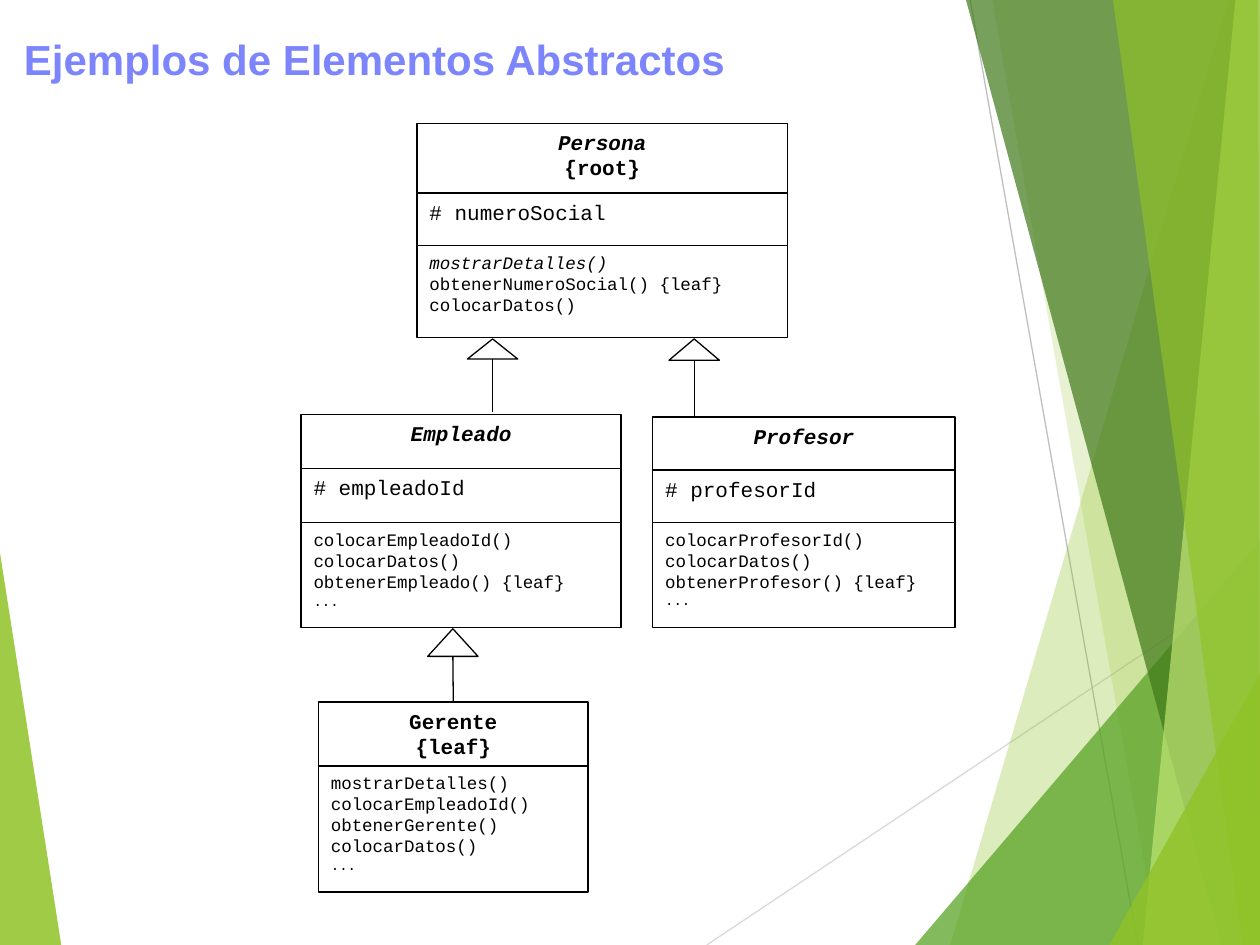
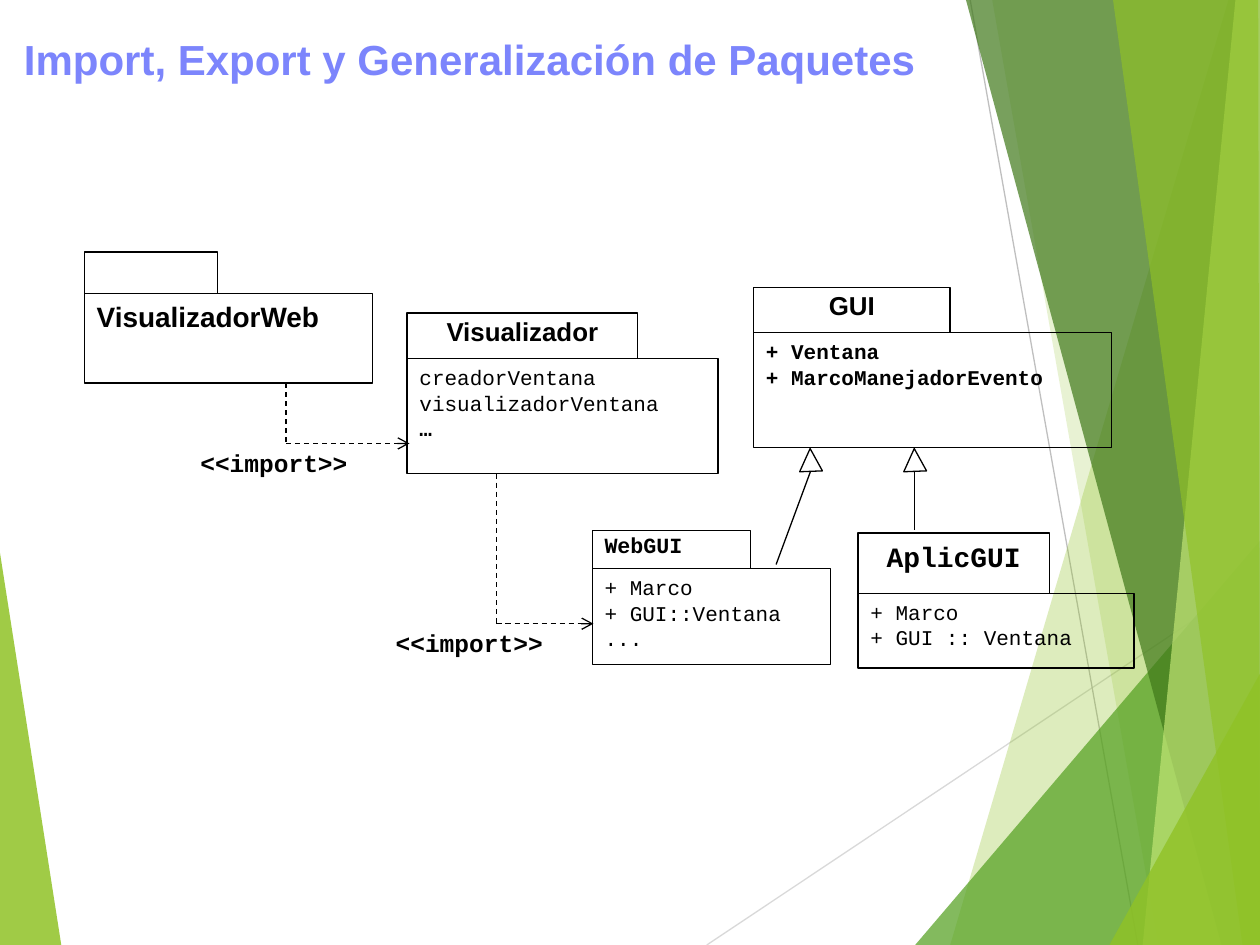
from lxml.etree import SubElement
from pptx import Presentation
from pptx.dml.color import RGBColor
from pptx.enum.dml import MSO_LINE
from pptx.enum.shapes import MSO_CONNECTOR, MSO_SHAPE
from pptx.enum.text import MSO_ANCHOR, MSO_AUTO_SIZE, PP_ALIGN
from pptx.oxml.ns import qn
from pptx.util import Pt

W, H = 720, 540
SANS, MONO = "Arial", "Courier New"
COLORS = {
    "title": "7C85FC", "ink": "000000", "white": "FFFFFF",
    "lime": "90C226", "green": "54A021", "forest": "3F7819", "pale": "C0E474",
    "ray_light": "D9D9D9", "ray_dark": "BFBFBF",
}
RAYS = [
    ("ray_light", (403.9, H, W, 329)),
    ("ray_dark", (554.4, 0, 650.2, H)),
]
FACETS = [
    ("lime", 85, [(0, 316), (35.3, H), (0, H)]),
    ("lime", 30, [(702, 0), (542.9, H), (W, H), (W, 0)]),
    ("lime", 20, [(567.4, 0), (662.4, H), (W, H), (W, 0)]),
    ("green", 72, [(522.7, H), (W, 308.9), (W, H)]),
    ("forest", 70, [(552.2, 0), (698.4, H), (W, H), (W, 0)]),
    ("pale", 70, [(706.3, 0), (653, H), (W, H), (W, 0)]),
    ("lime", 65, [(635.8, 0), (709.9, H), (W, H), (718.6, 0)]),
    ("lime", 80, [(634.3, H), (W, 385.2), (W, H)]),
]
SMALL_DOTS = ("...", {"size": 8})


def rgb(name):
    """Return the named colour."""
    return RGBColor.from_string(COLORS[name])


def add_line(s, x1, y1, x2, y2, color="ink", dashed=False, arrow=False):
    """Draw a thin straight connector without a shadow."""
    line = s.shapes.add_connector(MSO_CONNECTOR.STRAIGHT, Pt(x1), Pt(y1), Pt(x2), Pt(y2))
    line.line.color.rgb = rgb(color)
    line.line.width = Pt(0.75)
    if dashed:
        line.line.dash_style = MSO_LINE.DASH
    if arrow:
        SubElement(line.line._get_or_add_ln(), qn("a:tailEnd"), type="arrow")
    SubElement(line.element.spPr, qn("a:effectLst"))
    return line


def add_outline(s, kind, x, y, w, h, fill=None):
    """Draw a black outlined preset shape."""
    sp = s.shapes.add_shape(kind, Pt(x), Pt(y), Pt(w), Pt(h))
    sp.shadow.inherit = False
    if fill:
        sp.fill.solid()
        sp.fill.fore_color.rgb = rgb(fill)
    else:
        sp.fill.background()
    sp.line.color.rgb = rgb("ink")
    sp.line.width = Pt(0.75)
    return sp


def write(sp, lines, size=12, font=MONO, bold=False, italic=False,
          align=PP_ALIGN.LEFT, spacing=None):
    """Write lines, each a string or a (string, format changes) pair."""
    tf = sp.text_frame
    tf.word_wrap = True
    tf.vertical_anchor = MSO_ANCHOR.TOP
    for i, line in enumerate(lines):
        text, changes = (line, {}) if isinstance(line, str) else line
        look = {"size": size, "bold": bold, "italic": italic} | changes
        p = tf.add_paragraph() if i else tf.paragraphs[0]
        p.text = text
        p.alignment = align
        if spacing:
            p.line_spacing = spacing
        for r in p.runs:
            r.font.name = font
            r.font.size = Pt(look["size"])
            r.font.bold = look["bold"]
            r.font.italic = look["italic"]
            r.font.color.rgb = rgb("ink")


def add_panel(s, x, y, w, h, lines=(), **look):
    """Draw an outlined rectangle holding lines of text."""
    sp = add_outline(s, MSO_SHAPE.RECTANGLE, x, y, w, h)
    write(sp, lines, **look)
    return sp


def add_class(s, x, y, w, heights, name, attributes, methods):
    """Stack the compartments of a class and return the name one."""
    parts = [
        (name, {"bold": True, "align": PP_ALIGN.CENTER}),
        (attributes, {}),
        (methods, {"size": 10}),
    ]
    panels = []
    for h, (lines, look) in zip(heights, [part for part in parts if part[0]]):
        panels.append(add_panel(s, x, y, w, h, lines, **look))
        y += h
    return panels[0]


def add_package(s, x, y, tab, body, name, contents, name_look, **look):
    """Draw a package as a tab above a body, each given as (width, height)."""
    add_panel(s, x, y, *tab, name, bold=True, **name_look)
    add_panel(s, x, y + tab[1], *body, contents, **look)


def add_generalization(s, x, y, w, h, end, fill=None, turn=0):
    """Draw a hollow triangle with its tip at x, y and a line down to end."""
    tri = add_outline(s, MSO_SHAPE.ISOSCELES_TRIANGLE, x - w / 2, y, w, h, fill)
    tri.rotation = turn
    return add_line(s, x, y + h, *end)


def add_import(s, x, y, end, label_x):
    """Draw a dashed elbow from x, y to end with its label below."""
    end_x, end_y = end
    add_line(s, x, y, x, end_y, dashed=True)
    add_line(s, x, end_y, end_x, end_y, dashed=True, arrow=True)
    label = s.shapes.add_textbox(Pt(label_x), Pt(end_y - 1), Pt(124.6), Pt(34))
    write(label, ["<<import>>"], size=14, bold=True, align=PP_ALIGN.CENTER)


def add_backdrop(s, layout):
    """Draw the rays and facets and move them into the shared layout."""
    for ph in list(layout.placeholders)[1:]:
        ph.element.getparent().remove(ph.element)
    left, *right = FACETS
    parts = [add_facet(s, *left)]
    parts += [add_line(s, *ends, color=color) for color, ends in RAYS]
    parts += [add_facet(s, *facet) for facet in right]
    for part in parts:
        layout.shapes.element.append(part.element)


def add_facet(s, color, alpha, points):
    """Draw one translucent polygon."""
    builder = s.shapes.build_freeform(*points[0], scale=Pt(1))
    builder.add_line_segments(points[1:], close=True)
    sp = builder.convert_to_shape()
    sp.shadow.inherit = False
    sp.line.fill.background()
    sp.fill.solid()
    sp.fill.fore_color.rgb = rgb(color)
    tint = sp.element.spPr.find(f"{qn('a:solidFill')}/{qn('a:srgbClr')}")
    SubElement(tint, qn("a:alpha"), val=str(alpha * 1000))
    return sp


def set_title(s, text):
    """Place and format the slide title."""
    title = s.shapes.title
    title.left, title.top, title.width, title.height = Pt(6.5), Pt(6.5), Pt(705.6), Pt(45.4)
    tf = title.text_frame
    tf.text = text
    tf.auto_size = MSO_AUTO_SIZE.NONE
    tf.vertical_anchor = MSO_ANCHOR.BOTTOM
    p = tf.paragraphs[0]
    p.alignment = PP_ALIGN.LEFT
    p.line_spacing = 0.9
    font = p.runs[0].font
    font.name, font.size, font.bold = SANS, Pt(24), True
    font.color.rgb = rgb("title")


def build_classes(s, x, y):
    """Draw the class hierarchy with its top left corner at x, y."""
    slanted = {"italic": True}
    add_class(s, x + 66.2, y, 211.7, (39.6, 30.2, 52.6),
              [("Persona", slanted), "{root}"], ["# numeroSocial"],
              [("mostrarDetalles()", slanted), "obtenerNumeroSocial() {leaf}", "colocarDatos()"])
    add_class(s, x, y + 166.2, 182.9, (31, 31, 59.8),
              [("Empleado", slanted)], ["# empleadoId"],
              ["colocarEmpleadoId()", "colocarDatos()", "obtenerEmpleado() {leaf}", SMALL_DOTS])
    add_class(s, x + 200.9, y + 167.7, 172.8, (30.2, 30.2, 59.8),
              [("Profesor", slanted)], ["# profesorId"],
              ["colocarProfesorId()", "colocarDatos()", "obtenerProfesor() {leaf}", SMALL_DOTS])
    gerente = add_class(s, x + 9.9, y + 330.5, 154.1, (36.7, 72),
                        ["Gerente", "{leaf}"], [],
                        ["mostrarDetalles()", "colocarEmpleadoId()", "obtenerGerente()",
                         "colocarDatos()", SMALL_DOTS])
    add_generalization(s, x + 109.4, y + 123.1, 28.8, 11.5, (x + 109.4, y + 164.8))
    add_generalization(s, x + 224.6, y + 123.1, 28.8, 12.2, (x + 224.6, y + 167.7))
    line = add_generalization(s, x + 86.7, y + 288.7, 28.8, 15.8, (x + 86.7, y + 330.5))
    line.end_connect(gerente, 0)


def build_packages(s, x, y):
    """Draw the package diagram with its top left corner at x, y."""
    heading = {"size": 14.8, "font": SANS, "align": PP_ALIGN.CENTER, "spacing": 0.9}
    add_package(s, x, y, (76.3, 23.8), (164.9, 51.1), [], ["VisualizadorWeb"], {},
                size=16, font=SANS, bold=True)
    add_package(s, x + 184.4, y + 34.8, (131.8, 26.2), (177.8, 65.5), ["Visualizador"],
                ["creadorVentana", "visualizadorVentana", ("…", {"bold": True})], heading)
    add_package(s, x + 382.4, y + 20.2, (112.3, 25.9), (204.5, 65.5), ["GUI"],
                ["+ Ventana", "+ MarcoManejadorEvento"], heading, bold=True)
    add_package(s, x + 290.2, y + 159, (90.7, 22), (136.1, 54.7), ["WebGUI"],
                ["+ Marco", "+ GUI::Ventana", "..."], {"size": 12.4, "spacing": 0.8})
    add_package(s, x + 442.1, y + 160.6, (109.4, 34.6), (157.7, 42.5), ["AplicGUI"],
                ["+ Marco", "+ GUI :: Ventana"], {"size": 16, "align": PP_ALIGN.CENTER})
    add_import(s, x + 115.2, y + 74.9, (x + 185.8, y + 109.4), x + 46.1)
    add_import(s, x + 235.5, y + 126.7, (x + 290.9, y + 212.4), x + 157.7)
    for tip_x, end in [(415, (x + 395.3, y + 178.6)), (474.5, (x + 474.5, y + 159.1))]:
        add_generalization(s, x + tip_x, y + 112.3, 13, 13, end, fill="white", turn=357.8)


def main():
    """Build both slides and save the deck."""
    prs = Presentation()
    prs.slide_width, prs.slide_height = Pt(W), Pt(H)
    layout = prs.slide_layouts[5]
    slides = [
        ("Ejemplos de Elementos Abstractos", build_classes, (172.1, 70.6)),
        ("Import, Export y Generalización de Paquetes", build_packages, (48.2, 144)),
    ]
    for i, (title, build, corner) in enumerate(slides):
        s = prs.slides.add_slide(layout)
        if i == 0:
            add_backdrop(s, layout)
        set_title(s, title)
        build(s, *corner)
    prs.save("out.pptx")


if __name__ == "__main__":
    main()
